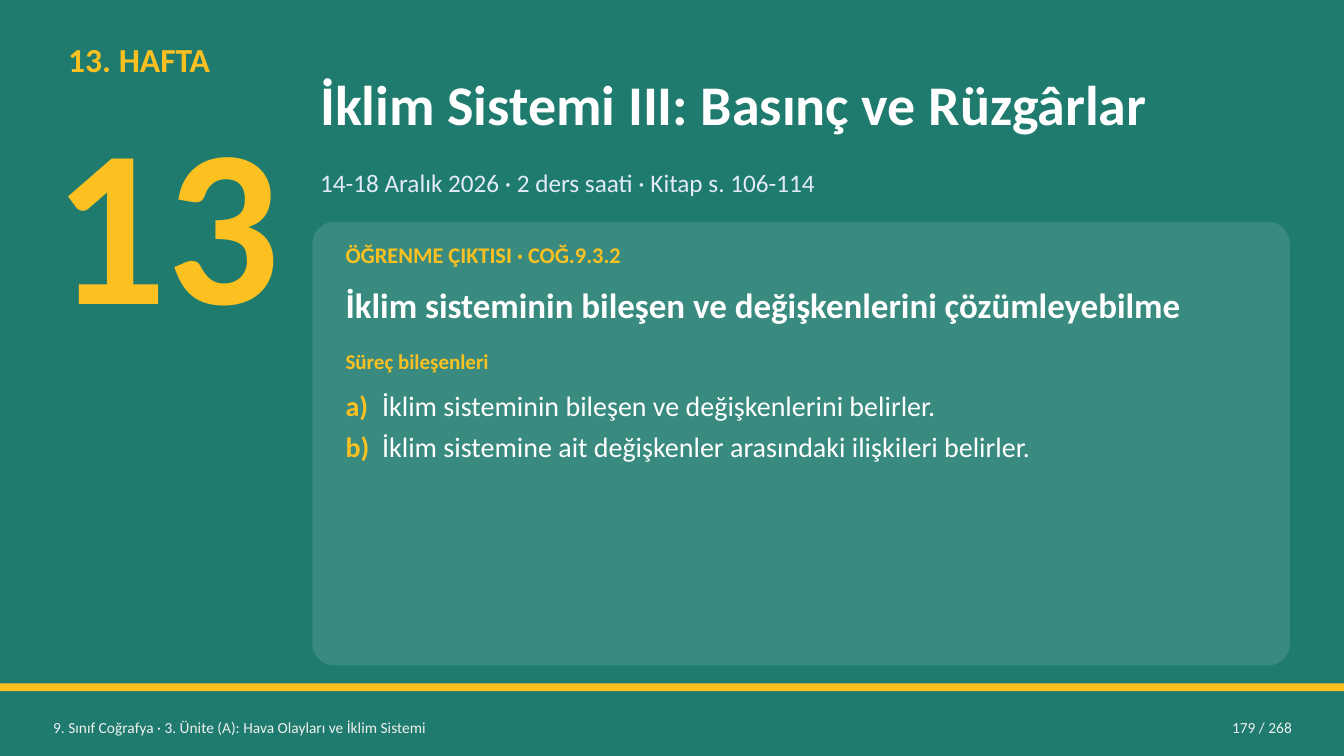
from dataclasses import dataclass

from lxml.etree import SubElement
from pptx import Presentation
from pptx.dml.color import RGBColor
from pptx.enum.shapes import MSO_SHAPE
from pptx.enum.text import MSO_ANCHOR, PP_ALIGN
from pptx.oxml.ns import qn
from pptx.util import Cm, Pt


@dataclass(frozen=True)
class Theme:
    font: str = "Calibri"
    green: str = "1E7B6E"
    yellow: str = "FCC021"
    white: str = "FFFFFF"
    pale_blue: str = "E3ECF5"
    pale_gray: str = "F0F0F0"
    week_number: int = 160
    title: int = 40
    outcome: int = 25
    week_label: int = 24
    step: int = 20
    schedule: int = 18
    outcome_label: int = 16
    steps_label: int = 15
    footer: int = 11


THEME = Theme()
WIDTH, HEIGHT = 33.87, 19.05
MAIN_LEFT, MAIN_WIDTH = 7.87, 24.64
CARD_LEFT, CARD_WIDTH = 8.51, 23.37
FOOTER_TOP, FOOTER_HEIGHT = 17.88, 0.91
STEP_INDENT = 0.92

STEPS = [
    ("a)", "İklim sisteminin bileşen ve değişkenlerini belirler."),
    ("b)", "İklim sistemine ait değişkenler arasındaki ilişkileri belirler."),
]


def add_panel(slide, kind, left, top, width, height, color, opacity=100):
    """Add a filled shape without outline; opacity is in percent."""
    sp = slide.shapes.add_shape(kind, Cm(left), Cm(top), Cm(width), Cm(height))
    sp.shadow.inherit = False
    sp.line.fill.background()
    sp.fill.solid()
    sp.fill.fore_color.rgb = RGBColor.from_string(color)
    if opacity < 100:
        srgb = sp.fill._xPr.find(qn("a:solidFill")).find(qn("a:srgbClr"))
        SubElement(srgb, qn("a:alpha"), val=str(opacity * 1000))
    return sp


def add_frame(slide, left, top, width, height, anchor=MSO_ANCHOR.TOP, pad=0.1):
    """Add an empty wrapping text box; pad is its upper and lower inset."""
    sp = slide.shapes.add_textbox(Cm(left), Cm(top), Cm(width), Cm(height))
    tf = sp.text_frame
    tf.word_wrap = True
    tf.vertical_anchor = anchor
    tf.margin_left = tf.margin_right = Cm(0.2)
    tf.margin_top = tf.margin_bottom = Cm(pad)
    return tf


def add_run(p, text, size, color, bold=False):
    r = p.add_run()
    r.text = text
    r.font.name = THEME.font
    r.font.size = Pt(size)
    r.font.bold = bold
    r.font.color.rgb = RGBColor.from_string(color)


def add_line(slide, box, text, size, color, bold=False, align=PP_ALIGN.LEFT, **frame):
    """Add a text box with a single one-run paragraph."""
    p = add_frame(slide, *box, **frame).paragraphs[0]
    p.alignment = align
    add_run(p, text, size, color, bold)


def add_steps(slide, box, steps):
    """Add lettered steps with a hanging indent."""
    tf = add_frame(slide, *box)
    for i, (letter, text) in enumerate(steps):
        p = tf.add_paragraph() if i else tf.paragraphs[0]
        pPr = p._p.get_or_add_pPr()
        pPr.set("marL", str(Cm(STEP_INDENT)))
        pPr.set("indent", str(-Cm(STEP_INDENT)))
        if i < len(steps) - 1:
            p.space_after = Pt(5)
        add_run(p, letter + "\t", THEME.step, THEME.yellow, bold=True)
        add_run(p, text, THEME.step, THEME.white)


def add_week(slide):
    add_line(slide, (1.52, 0.89, 6.6, 1.4), "13. HAFTA",
             THEME.week_label, THEME.yellow, bold=True)
    add_line(slide, (1.14, 2.03, 6.6, 6.99), "13",
             THEME.week_number, THEME.yellow, bold=True, pad=0)


def add_heading(slide):
    add_line(slide, (MAIN_LEFT, 1.14, MAIN_WIDTH, 2.92),
             "İklim Sistemi III: Basınç ve Rüzgârlar",
             THEME.title, THEME.white, bold=True, anchor=MSO_ANCHOR.MIDDLE)
    add_line(slide, (MAIN_LEFT, 4.11, MAIN_WIDTH, 1.14),
             "14-18 Aralık 2026 · 2 ders saati · Kitap s. 106-114",
             THEME.schedule, THEME.pale_blue)


def add_outcome_card(slide):
    card = add_panel(slide, MSO_SHAPE.ROUNDED_RECTANGLE,
                     MAIN_LEFT, 5.59, MAIN_WIDTH, 11.18, THEME.white, opacity=12)
    card.adjustments[0] = 0.05
    lines = [
        (5.97, 1.02, "ÖĞRENME ÇIKTISI · COĞ.9.3.2", THEME.outcome_label, THEME.yellow),
        (7.04, 1.35, "İklim sisteminin bileşen ve değişkenlerini çözümleyebilme",
         THEME.outcome, THEME.white),
        (8.69, 0.97, "Süreç bileşenleri", THEME.steps_label, THEME.yellow),
    ]
    for top, height, text, size, color in lines:
        add_line(slide, (CARD_LEFT, top, CARD_WIDTH, height), text, size, color, bold=True)
    add_steps(slide, (CARD_LEFT, 9.7, CARD_WIDTH, 6.76), STEPS)


def add_footer(slide):
    columns = [
        (1.14, 19.3, "9. Sınıf Coğrafya · 3. Ünite (A): Hava Olayları ve İklim Sistemi",
         PP_ALIGN.LEFT),
        (28.7, 4.06, "179 / 268", PP_ALIGN.RIGHT),
    ]
    for left, width, text, align in columns:
        add_line(slide, (left, FOOTER_TOP, width, FOOTER_HEIGHT), text,
                 THEME.footer, THEME.pale_gray, align=align, anchor=MSO_ANCHOR.MIDDLE)


def main():
    prs = Presentation()
    prs.slide_width, prs.slide_height = Cm(WIDTH), Cm(HEIGHT)
    s = prs.slides.add_slide(prs.slide_layouts[6])
    add_panel(s, MSO_SHAPE.RECTANGLE, 0, 0, WIDTH, HEIGHT, THEME.green)
    add_panel(s, MSO_SHAPE.RECTANGLE, 0, 17.22, WIDTH, 0.2, THEME.yellow)
    add_week(s)
    add_heading(s)
    add_outcome_card(s)
    add_footer(s)
    prs.save("out.pptx")


if __name__ == "__main__":
    main()
